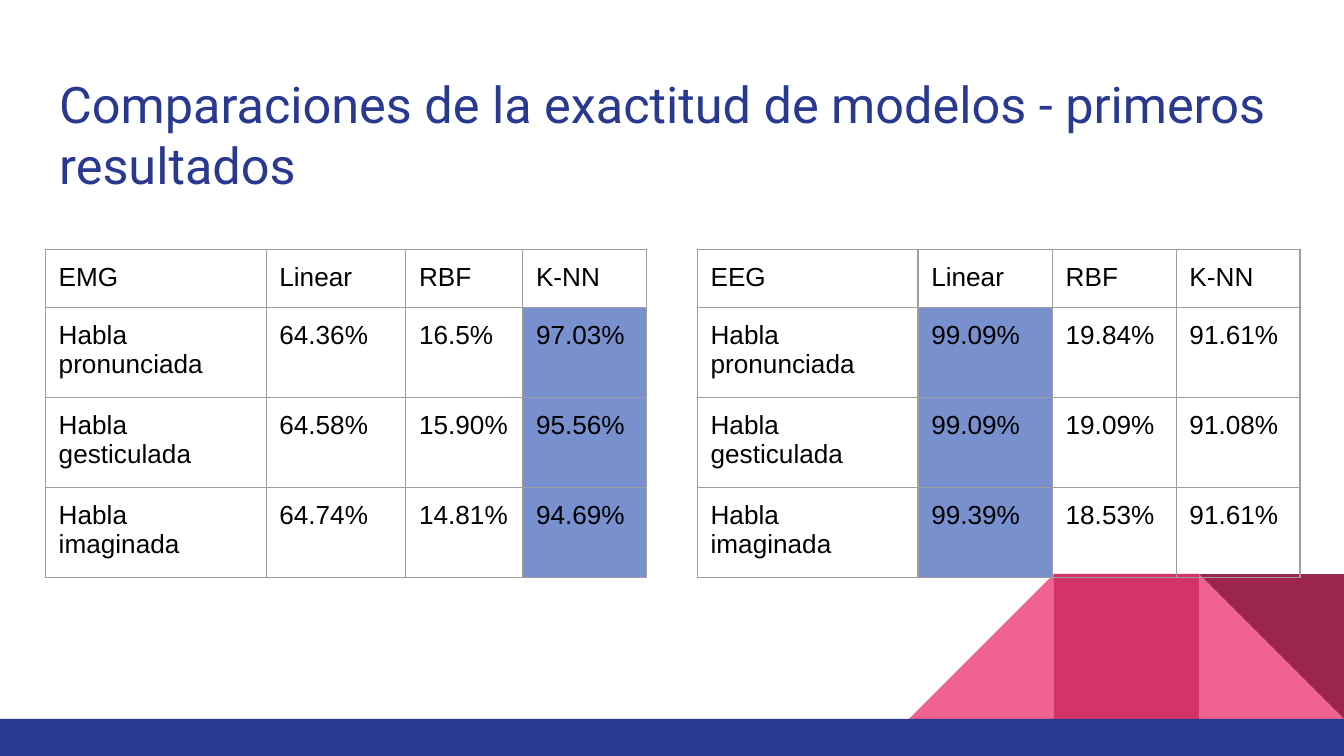
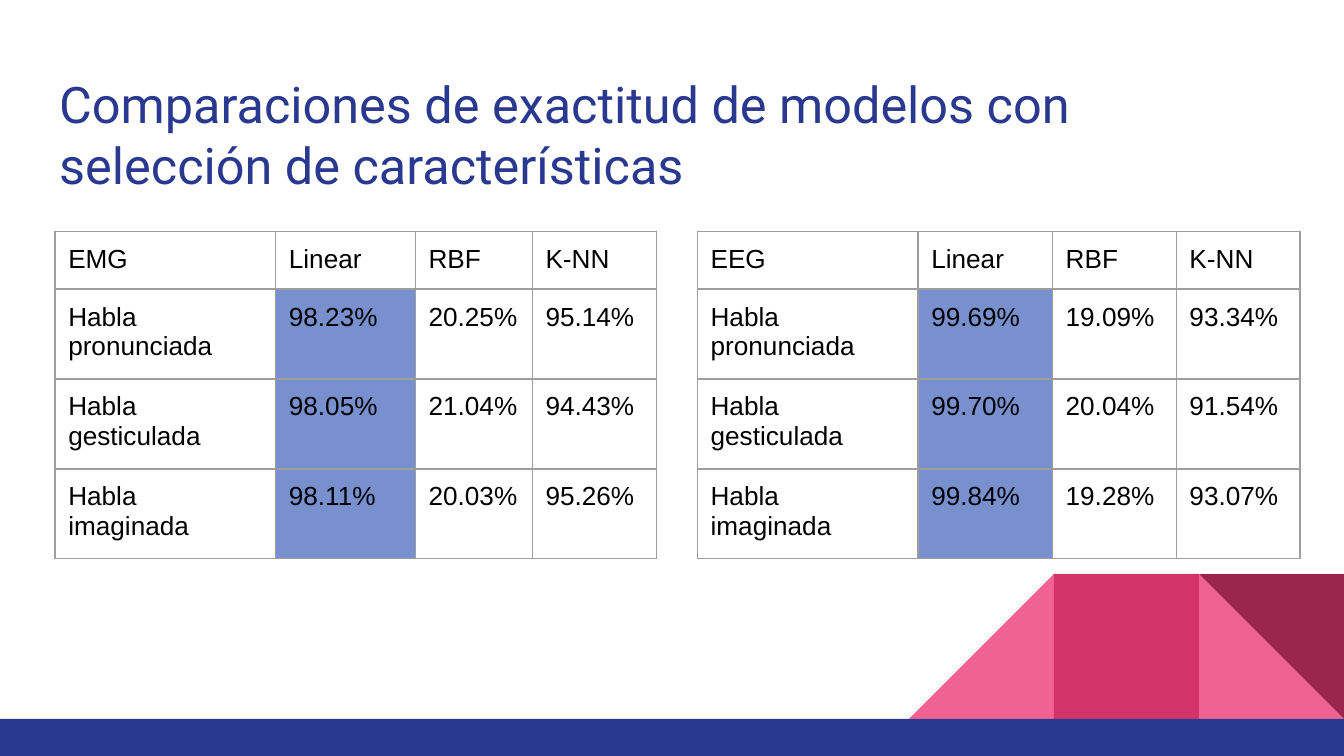
"""Build two slides that compare model accuracy for EMG and EEG signals."""
from lxml import etree
from pptx import Presentation
from pptx import util as u
from pptx.dml import color
from pptx.enum import shapes, text
from pptx.oxml import ns


def rgb(value):
    return color.RGBColor.from_string(value)


def write(frame, words, style):
    for name in ("margin_left", "margin_right", "margin_top", "margin_bottom"):
        setattr(frame, name, u.Cm(0.25))
    frame.word_wrap = True
    frame.vertical_anchor = text.MSO_ANCHOR.TOP
    para = frame.paragraphs[0]
    para.alignment = text.PP_ALIGN.LEFT
    span = para.add_run()
    span.text = words
    for name, value in style["font"].items():
        setattr(span.font, name, value)
    span.font.color.rgb = rgb(style["color"])


NAVY, PINK, ROSE, WINE = "2A3990", "F06292", "D23369", "9C254D"
HIGHLIGHT, GRID = "7890CD", "9E9E9E"
TITLE_STYLE = {"font": {"name": "Roboto", "size": u.Pt(27)}, "color": NAVY}
CELL_STYLE = {"font": {"name": "Arial", "size": u.Pt(14)}, "color": "000000"}

WIDTH, HEIGHT = 25.4, 14.29
BAND, BLOCK = 0.7, 2.74
BAND_TOP = HEIGHT - BAND
BLOCK_TOP = BAND_TOP - BLOCK
RECTANGLE = shapes.MSO_SHAPE.RECTANGLE
TRIANGLE = shapes.MSO_SHAPE.RIGHT_TRIANGLE
DECORATION = [
    (TRIANGLE, WIDTH - BLOCK, BLOCK_TOP, BLOCK, BLOCK, PINK, 0, False),
    (TRIANGLE, WIDTH - 3 * BLOCK, BLOCK_TOP, BLOCK, BLOCK, PINK, 0, True),
    (RECTANGLE, WIDTH - 2 * BLOCK, BLOCK_TOP, BLOCK, BLOCK, ROSE, 0, False),
    (TRIANGLE, WIDTH - BLOCK, BLOCK_TOP, BLOCK, BLOCK, WINE, 180, False),
    (RECTANGLE, 0, BAND_TOP, WIDTH, BAND, NAVY, 0, False),
]

MODELS = ["Linear", "RBF", "K-NN"]
SPEECH = ["Habla pronunciada", "Habla gesticulada", "Habla imaginada"]
ROW_HEIGHTS = [1.09, 1.7, 1.7, 1.7]
COLUMN_WIDTHS = {"EMG": [4.17, 2.64, 2.21, 2.34], "EEG": [4.17, 2.54, 2.34, 2.34]}
EEG_LEFT = 13.18

SLIDES = [
    {
        "title": "Comparaciones de la exactitud de modelos - primeros resultados",
        "table_top": 4.72,
        "tables": [
            ("EMG", 0.86, "K-NN", [
                ["64.36%", "16.5%", "97.03%"],
                ["64.58%", "15.90%", "95.56%"],
                ["64.74%", "14.81%", "94.69%"],
            ]),
            ("EEG", EEG_LEFT, "Linear", [
                ["99.09%", "19.84%", "91.61%"],
                ["99.09%", "19.09%", "91.08%"],
                ["99.39%", "18.53%", "91.61%"],
            ]),
        ],
    },
    {
        "title": "Comparaciones de exactitud de modelos con selección de características",
        "table_top": 4.37,
        "tables": [
            ("EMG", 1.04, "Linear", [
                ["98.23%", "20.25%", "95.14%"],
                ["98.05%", "21.04%", "94.43%"],
                ["98.11%", "20.03%", "95.26%"],
            ]),
            ("EEG", EEG_LEFT, "Linear", [
                ["99.69%", "19.09%", "93.34%"],
                ["99.70%", "20.04%", "91.54%"],
                ["99.84%", "19.28%", "93.07%"],
            ]),
        ],
    },
]

deck = Presentation()
deck.slide_width, deck.slide_height = u.Cm(WIDTH), u.Cm(HEIGHT)

for content in SLIDES:
    page = deck.slides.add_slide(deck.slide_layouts[6])
    page.background.fill.solid()
    page.background.fill.fore_color.rgb = rgb("FFFFFF")

    for kind, left, top, width, height, fill, turn, mirrored in DECORATION:
        shape = page.shapes.add_shape(kind, u.Cm(left), u.Cm(top), u.Cm(width), u.Cm(height))
        shape.shadow.inherit = False
        shape.fill.solid()
        shape.fill.fore_color.rgb = rgb(fill)
        shape.line.fill.background()
        shape.rotation = turn
        if mirrored:
            shape._element.spPr.find(ns.qn("a:xfrm")).set("flipH", "1")

    box = page.shapes.add_textbox(u.Cm(0.87), u.Cm(1.14), u.Cm(23.67), u.Cm(2.62))
    write(box.text_frame, content["title"], TITLE_STYLE)

    for signal, left, best, scores in content["tables"]:
        widths = COLUMN_WIDTHS[signal]
        rows = [[signal] + MODELS] + [[name] + row for name, row in zip(SPEECH, scores)]
        table = page.shapes.add_table(
            len(rows), len(widths), u.Cm(left), u.Cm(content["table_top"]),
            u.Cm(sum(widths)), u.Cm(sum(ROW_HEIGHTS))).table
        table.first_row = table.horz_banding = False
        for column, width in zip(table.columns, widths):
            column.width = u.Cm(width)
        for table_row, height in zip(table.rows, ROW_HEIGHTS):
            table_row.height = u.Cm(height)
        best_column = rows[0].index(best)

        for r, row in enumerate(rows):
            for c, words in enumerate(row):
                cell = table.cell(r, c)
                write(cell.text_frame, words, CELL_STYLE)
                for name in ("margin_left", "margin_right", "margin_top", "margin_bottom"):
                    setattr(cell, name, u.Cm(0.25))
                if r and c == best_column:
                    cell.fill.solid()
                    cell.fill.fore_color.rgb = rgb(HIGHLIGHT)
                else:
                    cell.fill.background()
                properties = cell._tc.get_or_add_tcPr()
                for place, side in enumerate(("lnL", "lnR", "lnT", "lnB")):
                    border = etree.Element(ns.qn(f"a:{side}"), w=str(u.Pt(0.75)))
                    paint = etree.SubElement(border, ns.qn("a:solidFill"))
                    etree.SubElement(paint, ns.qn("a:srgbClr"), val=GRID)
                    properties.insert(place, border)

deck.save("out.pptx")
